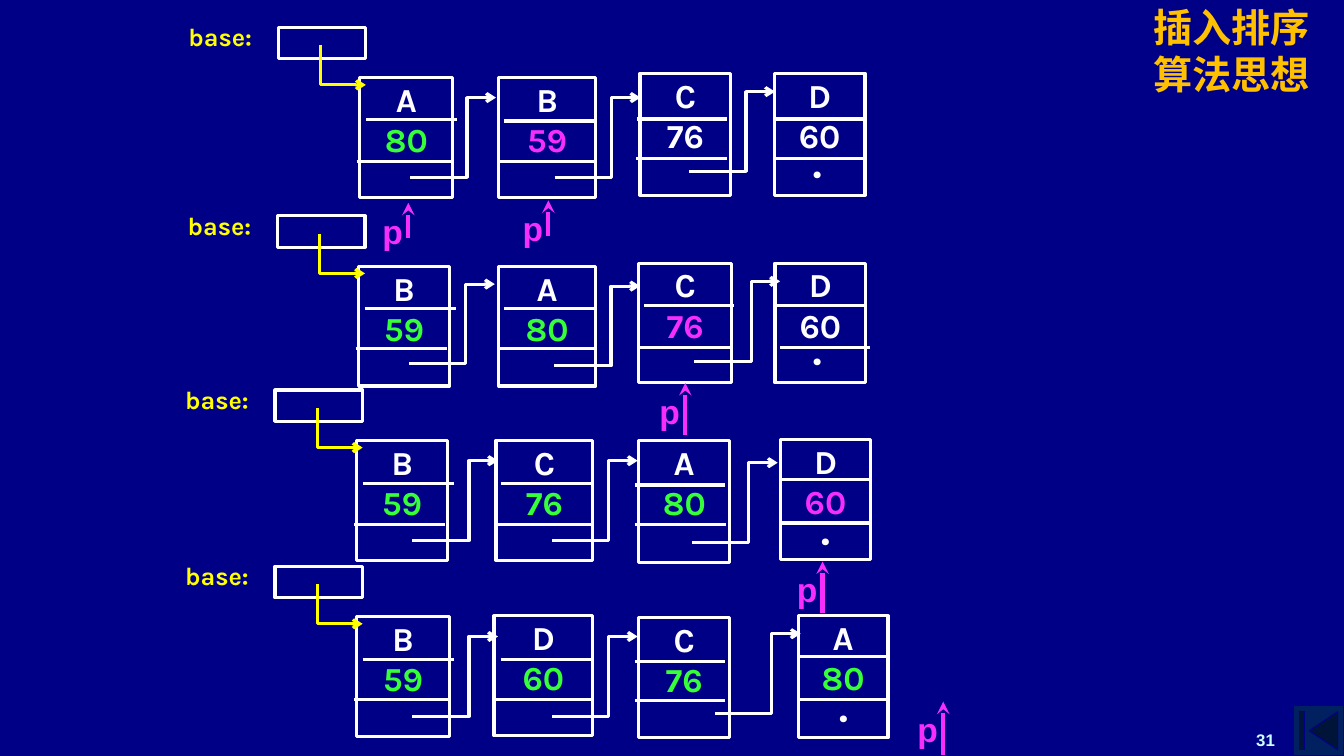
from dataclasses import dataclass

from pptx import Presentation
from pptx.dml.color import RGBColor
from pptx.enum.shapes import MSO_CONNECTOR, MSO_SHAPE
from pptx.enum.text import MSO_ANCHOR as Anchor, MSO_AUTO_SIZE as AutoSize, PP_ALIGN as Align
from pptx.oxml.ns import qn
from pptx.util import Cm, Pt
from lxml.etree import SubElement

NAVY, WHITE, YELLOW = "000086", "FFFFFF", "FFFF00"
GREEN, PINK, GOLD = "37FF37", "F52EFC", "FFC000"
LINK_WIDTH, LINK_BEND, LINK_HEIGHT = 2.16, 1.43, 2.01


@dataclass
class Rule:
    left: float
    top: float
    width: float


@dataclass
class Node:
    """A record; spot is the top left of its link, or of its end dot if last."""
    letter: str
    value: str
    color: str
    left: float
    top: float
    width: float
    height: float
    upper: Rule
    lower: Rule
    spot: tuple[float, float]


@dataclass
class Pointer:
    x: float
    top: float
    length: float
    target: str = ""


@dataclass
class SortStep:
    left: float
    top: float
    nodes: list[Node]
    pointers: list[Pointer]


STEPS = [
    SortStep(7.01, 0.69, [
        Node("A", "80", GREEN, 9.07, 1.96, 2.34, 3.02,
             Rule(9.22, 3.02, 2.29), Rule(8.99, 4.06, 2.39), (10.34, 2.46)),
        Node("B", "59", PINK, 12.57, 1.96, 2.44, 3.02,
             Rule(12.7, 3.05, 2.34), Rule(12.6, 4.06, 2.41), (13.98, 2.46)),
        Node("C", "76", WHITE, 16.13, 1.85, 2.29, 3.07,
             Rule(16.05, 3, 2.26), Rule(16.03, 3.99, 2.29), (17.37, 2.31)),
        Node("D", "60", WHITE, 19.51, 1.85, 2.29, 3.07,
             Rule(19.53, 3, 2.26), Rule(19.53, 3.99, 2.26), (20.14, 3.84)),
    ], [Pointer(10.29, 5.11, 0.89), Pointer(13.82, 5.05, 0.89)]),
    SortStep(6.99, 5.44, [
        Node("B", "59", GREEN, 9.04, 6.71, 2.29, 3.02,
             Rule(9.19, 7.77, 2.31), Rule(8.97, 8.79, 2.29), (10.31, 7.16)),
        Node("A", "80", GREEN, 12.57, 6.71, 2.44, 3.02,
             Rule(12.7, 7.77, 2.34), Rule(12.57, 8.79, 2.41), (13.97, 7.21)),
        Node("C", "76", PINK, 16.1, 6.63, 2.34, 3.02,
             Rule(16.23, 7.7, 2.26), Rule(16.05, 8.76, 2.39), (17.5, 7.09)),
        Node("D", "60", WHITE, 19.53, 6.63, 2.29, 3.02,
             Rule(19.53, 7.7, 2.29), Rule(19.66, 8.76, 2.26), (20.14, 8.56)),
    ], [Pointer(17.27, 9.65, 1.3, target="C")]),
    SortStep(6.93, 9.83, [
        Node("B", "59", GREEN, 8.99, 11.1, 2.29, 3.02,
             Rule(9.14, 12.19, 2.31), Rule(8.92, 13.21, 2.29), (10.39, 11.61)),
        Node("C", "76", GREEN, 12.5, 11.1, 2.44, 3.02,
             Rule(12.62, 12.19, 2.34), Rule(12.52, 13.21, 2.41), (13.91, 11.61)),
        Node("A", "80", GREEN, 16.1, 11.1, 2.29, 3.07,
             Rule(16, 12.22, 2.26), Rule(16, 13.21, 2.29), (17.44, 11.66)),
        Node("D", "60", PINK, 19.66, 11.07, 2.29, 3.02,
             Rule(19.71, 12.09, 2.26), Rule(19.66, 13.18, 2.24), (20.35, 13.08)),
    ], [Pointer(20.73, 14.15, 1.3)]),
    SortStep(6.93, 14.27, [
        Node("B", "59", GREEN, 8.99, 15.54, 2.34, 3.02,
             Rule(9.14, 16.61, 2.29), Rule(8.92, 17.63, 2.39), (10.39, 16.04)),
        Node("D", "60", GREEN, 12.45, 15.52, 2.49, 3.02,
             Rule(12.62, 16.61, 2.34), Rule(12.42, 17.63, 2.51), (13.91, 16.04)),
        Node("C", "76", GREEN, 16.1, 15.57, 2.29, 3.02,
             Rule(16, 16.66, 2.26), Rule(16, 17.65, 2.26), (18.02, 15.97)),
        Node("A", "80", GREEN, 20.12, 15.52, 2.26, 3.07,
             Rule(20.12, 16.54, 2.26), Rule(20.17, 17.63, 2.24), (20.8, 17.55)),
    ], [Pointer(23.77, 17.68, 1.35)]),
]


def rgb(color: str) -> RGBColor:
    return RGBColor.from_string(color)


def style_line(shape, color: str, width: float, end: str = "", arrow: str = "") -> None:
    """Colour a line; end is headEnd or tailEnd when it has an arrow."""
    shape.line.color.rgb = rgb(color)
    shape.line.width = Pt(width)
    if end:
        SubElement(shape.line._get_or_add_ln(), qn(f"a:{end}"), type=arrow)


def style_para(para, text: str, size: float, color: str, font: str, align: Align) -> None:
    para.text = text
    para.alignment = align
    para.font.size = Pt(size)
    para.font.name = font
    para.font.bold = True
    para.font.color.rgb = rgb(color)


def add_label(shapes, text: str, left: float, top: float, width: float, height: float,
              size: float, color: str, font: str = "Karla", align: Align = Align.CENTER,
              anchor: Anchor = Anchor.TOP, wrap: bool = True, grow: bool = False) -> None:
    box = shapes.add_textbox(Cm(left), Cm(top), Cm(width), Cm(height))
    frame = box.text_frame
    frame.word_wrap = wrap
    frame.auto_size = AutoSize.SHAPE_TO_FIT_TEXT if grow else AutoSize.NONE
    frame.vertical_anchor = anchor
    style_para(frame.paragraphs[0], text, size, color, font, align)


def add_frame(shapes, left: float, top: float, width: float, height: float):
    """Add an unfilled white rectangle."""
    box = shapes.add_shape(MSO_SHAPE.RECTANGLE, Cm(left), Cm(top), Cm(width), Cm(height))
    box.shadow.inherit = False
    box.fill.background()
    style_line(box, WHITE, 2.25)
    return box


def add_line(shapes, x1: float, y1: float, x2: float, y2: float):
    line = shapes.add_connector(MSO_CONNECTOR.STRAIGHT, Cm(x1), Cm(y1), Cm(x2), Cm(y2))
    SubElement(line._element.spPr, qn("a:effectLst"))
    return line


def add_elbow(shapes, points: list[tuple[float, float]], color: str) -> None:
    start, *rest = [(Cm(x), Cm(y)) for x, y in points]
    builder = shapes.build_freeform(*start)
    builder.add_line_segments(rest, close=False)
    elbow = builder.convert_to_shape()
    elbow.shadow.inherit = False
    elbow.fill.background()
    style_line(elbow, color, 2.25, "tailEnd", "arrow")


def draw_node(shapes, node: Node, last: bool):
    box = add_frame(shapes, node.left, node.top, node.width, node.height)
    frame = box.text_frame
    frame.word_wrap = True
    frame.vertical_anchor = Anchor.TOP
    frame.margin_left = frame.margin_right = frame.margin_top = frame.margin_bottom = Cm(0.03)
    style_para(frame.paragraphs[0], node.letter, 24, WHITE, "Karla", Align.CENTER)
    style_para(frame.add_paragraph(), node.value, 24, node.color, "Karla", Align.CENTER)
    for rule in (node.upper, node.lower):
        line = add_line(shapes, rule.left, rule.top, rule.left + rule.width, rule.top)
        style_line(line, WHITE, 2.25)
    x, y = node.spot
    if last:
        add_label(shapes, "•", x, y, 0.91, 1.02, 18, WHITE, wrap=False, grow=True)
    else:
        bend, bottom = x + LINK_BEND, y + LINK_HEIGHT
        add_elbow(shapes, [(x, bottom), (bend, bottom), (bend, y), (x + LINK_WIDTH, y)], WHITE)
    return box


def draw_pointer(shapes, pointer: Pointer, boxes: dict) -> None:
    add_label(shapes, "p", pointer.x - 0.9, pointer.top + 0.07, 1.83, 1.28, 24, PINK,
              font="Arial", align=Align.LEFT, grow=True)
    line = add_line(shapes, pointer.x, pointer.top, pointer.x, pointer.top + pointer.length)
    style_line(line, PINK, 3, "headEnd", "stealth")
    if pointer.target:
        line.begin_connect(boxes[pointer.target], 2)


def draw_step(page, step: SortStep) -> None:
    shapes = page.shapes.add_group_shape().shapes
    add_label(shapes, "base:", step.left - 2.92, step.top - 0.27, 2.92, 1.04, 18, YELLOW)
    add_frame(shapes, step.left, step.top, 2.21, 0.79)
    x, y = step.left + 1.07, step.top + 0.45
    boxes = {node.letter: draw_node(shapes, node, node is step.nodes[-1]) for node in step.nodes}
    add_elbow(shapes, [(x, y), (x, y + 1), (x + 1.14, y + 1)], YELLOW)
    for pointer in step.pointers:
        draw_pointer(shapes, pointer, boxes)


def main() -> None:
    deck = Presentation()
    deck.slide_width, deck.slide_height = Cm(33.87), Cm(19.05)
    page = deck.slides.add_slide(deck.slide_layouts[6])
    page.background.fill.solid()
    page.background.fill.fore_color.rgb = rgb(NAVY)
    button = page.shapes.add_shape(MSO_SHAPE.ACTION_BUTTON_BEGINNING,
                                   Cm(32.6), Cm(17.78), Cm(1.27), Cm(1.27))
    button.shadow.inherit = False
    button.fill.solid()
    button.fill.fore_color.rgb = rgb("002060")
    style_line(button, NAVY, 0.75)
    add_label(page.shapes, "插入排序\v算法思想", 28.22, 0.03, 5.64, 2.49, 28, GOLD,
              anchor=Anchor.MIDDLE)
    add_label(page.shapes, "31", 31.19, 17.75, 1.19, 1.27, 12, "CCFFFF", font="Arial",
              align=Align.RIGHT, anchor=Anchor.BOTTOM)
    for step in STEPS:
        draw_step(page, step)
    deck.save("out.pptx")


if __name__ == "__main__":
    main()
